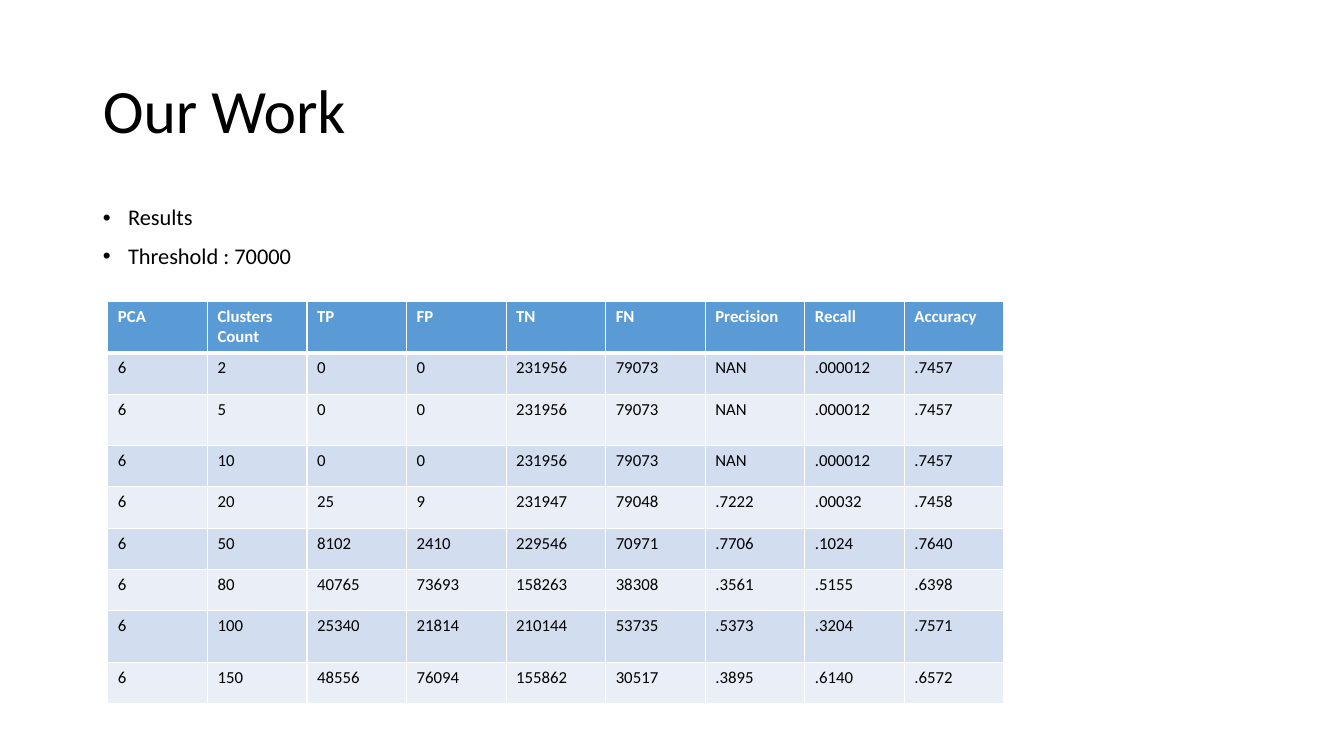
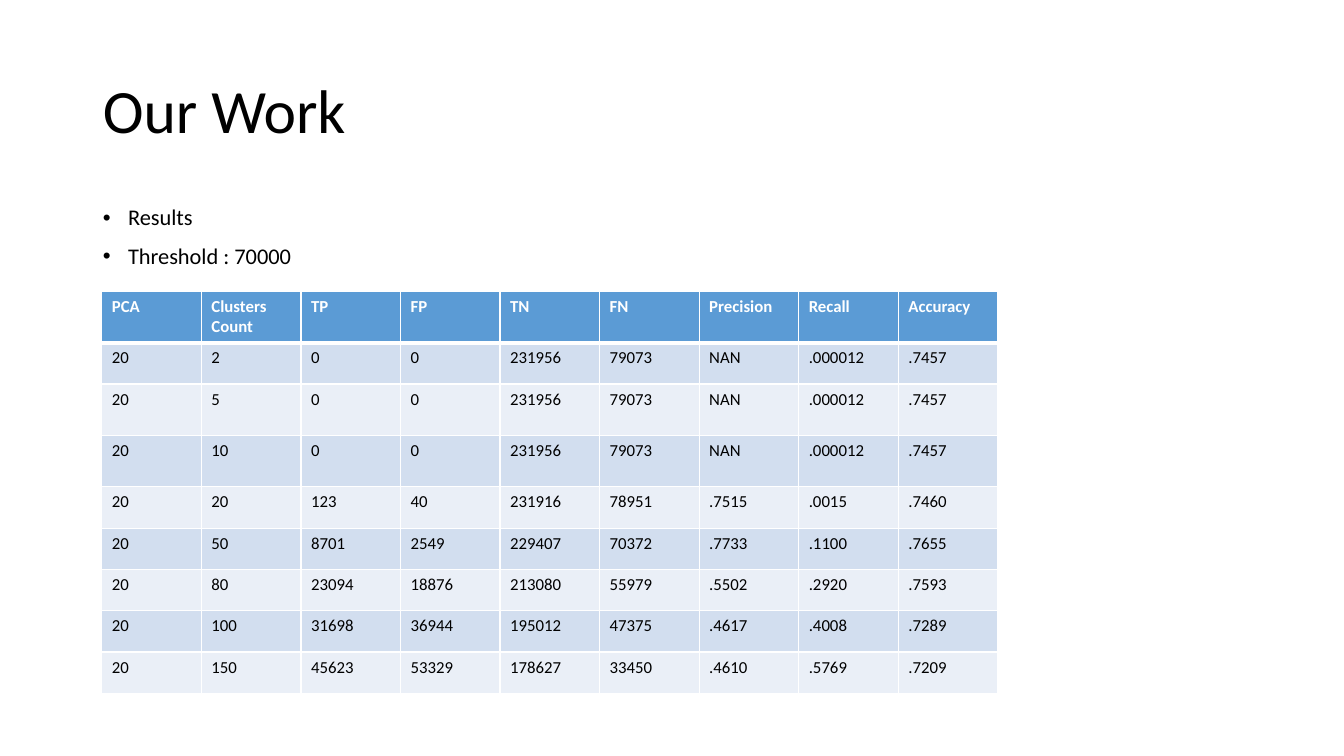
from lxml import etree
from pptx import Presentation
from pptx.dml.color import RGBColor
from pptx.enum.text import MSO_ANCHOR, PP_ALIGN
from pptx.oxml.ns import qn
from pptx.util import Inches, Pt

LEFT = PP_ALIGN.LEFT
TOP, MIDDLE = MSO_ANCHOR.TOP, MSO_ANCHOR.MIDDLE

TITLE = "Our Work"
POINTS = ["Results", "Threshold : 70000"]
HEADINGS = ["PCA", "Clusters Count", "TP", "FP", "TN", "FN", "Precision", "Recall", "Accuracy"]
UNDETECTED = ["0", "0", "231956", "79073", "NAN", ".000012", ".7457"]
RESULTS = [
    {
        "pca": "6",
        "corner": (1.07, 2.99),
        "tall_rows": (2, 7),
        "rows": [
            ["2", *UNDETECTED],
            ["5", *UNDETECTED],
            ["10", *UNDETECTED],
            ["20", "25", "9", "231947", "79048", ".7222", ".00032", ".7458"],
            ["50", "8102", "2410", "229546", "70971", ".7706", ".1024", ".7640"],
            ["80", "40765", "73693", "158263", "38308", ".3561", ".5155", ".6398"],
            ["100", "25340", "21814", "210144", "53735", ".5373", ".3204", ".7571"],
            ["150", "48556", "76094", "155862", "30517", ".3895", ".6140", ".6572"],
        ],
    },
    {
        "pca": "20",
        "corner": (1.01, 2.89),
        "tall_rows": (2, 3),
        "rows": [
            ["2", *UNDETECTED],
            ["5", *UNDETECTED],
            ["10", *UNDETECTED],
            ["20", "123", "40", "231916", "78951", ".7515", ".0015", ".7460"],
            ["50", "8701", "2549", "229407", "70372", ".7733", ".1100", ".7655"],
            ["80", "23094", "18876", "213080", "55979", ".5502", ".2920", ".7593"],
            ["100", "31698", "36944", "195012", "47375", ".4617", ".4008", ".7289"],
            ["150", "45623", "53329", "178627", "33450", ".4610", ".5769", ".7209"],
        ],
    },
]

WHITE, BLACK, BLUE = "FFFFFF", "000000", "5B9BD5"
BANDS = ["EAEFF7", "D2DEEF"]
SLIDE_WIDTH, SLIDE_HEIGHT = 13.33, 7.5
MARGIN = 0.92
TITLE_AREA = (MARGIN, 0.4, 11.5, 1.45)
BODY_AREA = (MARGIN, 2, 11.5, 4.76)
TABLE_WIDTH = 8.89
ROW_HEIGHT, TALL_ROW_HEIGHT = 0.41, 0.51
INDENT = Inches(0.25)

TITLE_FONT = {"size": Pt(44), "bold": False, "color": BLACK}
BODY_FONT = {"size": Pt(16), "bold": False, "color": BLACK}
HEADING_FONT = {"size": Pt(12), "bold": True, "color": WHITE}
CELL_FONT = {"size": Pt(12), "bold": False, "color": BLACK}
TITLE_PARA = {"alignment": LEFT, "line_spacing": 0.9}
BODY_PARA = {"alignment": LEFT, "line_spacing": 0.9, "space_before": Pt(10)}


def paint(target, color):
    target.rgb = RGBColor.from_string(color)


def apply(target, values):
    for name, value in values.items():
        setattr(target, name, value)


def write(para, text, font, layout):
    apply(para, layout)
    span = para.add_run()
    span.text = text
    span.font.name = "Calibri"
    apply(span.font, {name: font[name] for name in ("size", "bold")})
    paint(span.font.color, font["color"])


def place(box, area, anchor):
    apply(box, dict(zip(("left", "top", "width", "height"), map(Inches, area))))
    apply(box.text_frame, {"vertical_anchor": anchor, "word_wrap": True})


def border(cell, widths):
    properties = cell._tc.get_or_add_tcPr()
    for side, width in widths.items():
        line = etree.SubElement(properties, qn("a:ln" + side), w=str(Pt(width)))
        fill = etree.SubElement(line, qn("a:solidFill"))
        etree.SubElement(fill, qn("a:srgbClr"), val=WHITE)


def add_heading(page):
    place(page.shapes.title, TITLE_AREA, MIDDLE)
    write(page.shapes.title.text_frame.paragraphs[0], TITLE, TITLE_FONT, TITLE_PARA)


def add_points(page):
    body = page.placeholders[1]
    place(body, BODY_AREA, TOP)
    frame = body.text_frame
    for number, text in enumerate(POINTS):
        para = frame.add_paragraph() if number else frame.paragraphs[0]
        write(para, text, BODY_FONT, BODY_PARA)
        properties = para._p.get_or_add_pPr()
        properties.set("marL", str(INDENT))
        properties.set("indent", str(-INDENT))
        etree.SubElement(properties, qn("a:buChar"), char="•")


def add_results(page, result):
    rows = [HEADINGS] + [[result["pca"], *row] for row in result["rows"]]
    heights = [
        TALL_ROW_HEIGHT if number in (0, *result["tall_rows"]) else ROW_HEIGHT
        for number in range(len(rows))
    ]
    area = (*result["corner"], TABLE_WIDTH, sum(heights))
    table = page.shapes.add_table(len(rows), len(HEADINGS), *map(Inches, area)).table
    for column in table.columns:
        column.width = Inches(TABLE_WIDTH / len(HEADINGS))
    for number, (row, height) in enumerate(zip(rows, heights)):
        table.rows[number].height = Inches(height)
        widths = {"L": 1, "R": 1, "T": 3 if number == 1 else 1, "B": 1 if number else 3}
        for cell, text in zip(table.rows[number].cells, row):
            border(cell, widths)
            cell.fill.solid()
            paint(cell.fill.fore_color, BANDS[number % 2] if number else BLUE)
            font = CELL_FONT if number else HEADING_FONT
            write(cell.text_frame.paragraphs[0], text, font, {"alignment": LEFT})


deck = Presentation()
deck.slide_width, deck.slide_height = Inches(SLIDE_WIDTH), Inches(SLIDE_HEIGHT)
for result in RESULTS:
    page = deck.slides.add_slide(deck.slide_layouts[1])
    add_heading(page)
    add_points(page)
    add_results(page, result)
deck.save("out.pptx")
